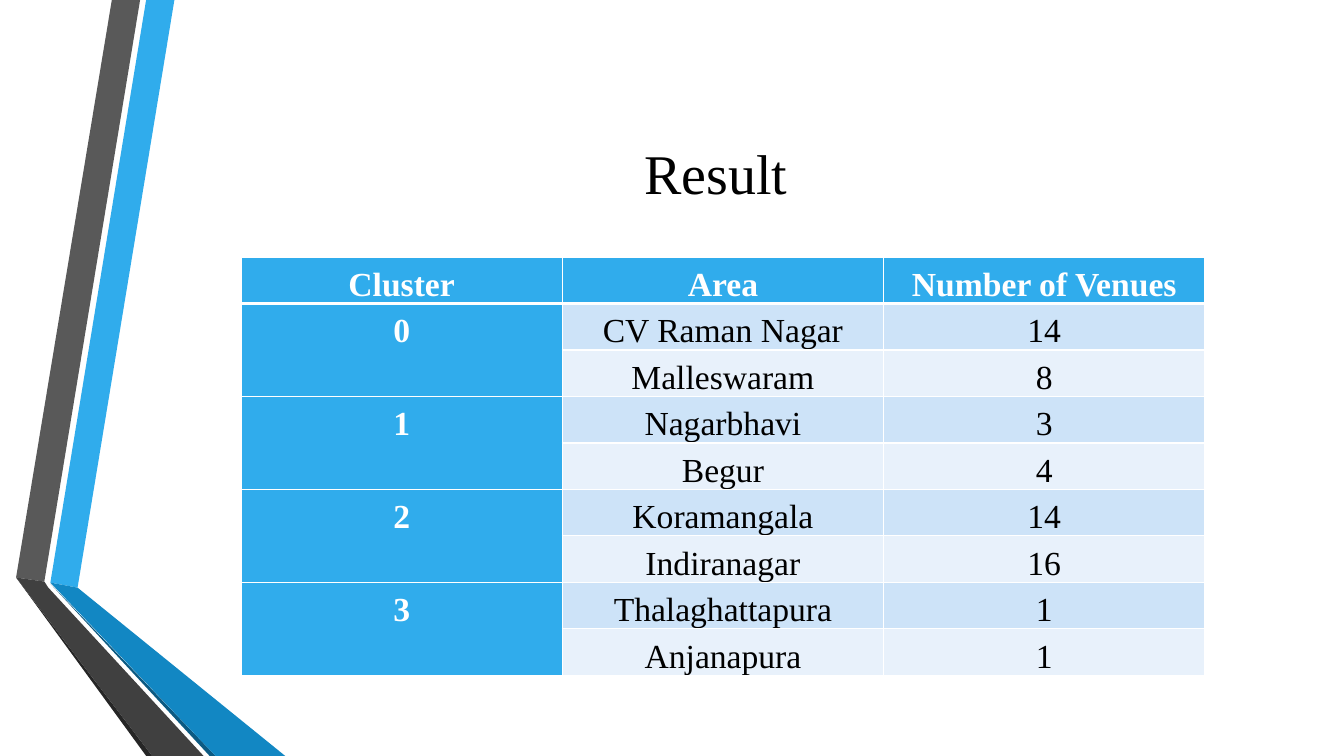
from lxml.etree import SubElement
from pptx import Presentation
from pptx.dml.color import RGBColor
from pptx.enum.text import MSO_ANCHOR as Anchor, PP_ALIGN as Align
from pptx.oxml.ns import qn
from pptx.util import Inches, Pt

FONT = "Times New Roman"
BLACK = RGBColor(0x00, 0x00, 0x00)
WHITE = RGBColor(0xFF, 0xFF, 0xFF)
BLUE = RGBColor(0x30, 0xAC, 0xEC)
MID_BLUE = RGBColor(0x12, 0x87, 0xC3)
DEEP_BLUE = RGBColor(0x0C, 0x5A, 0x82)
GREY = RGBColor(0x59, 0x59, 0x59)
DARK_GREY = RGBColor(0x40, 0x40, 0x40)
CHARCOAL = RGBColor(0x26, 0x26, 0x26)
BANDS = [RGBColor(0xCD, 0xE3, 0xF8), RGBColor(0xE8, 0xF1, 0xFB)]


def add_text(para, text, size, color, bold=False):
    para.alignment = Align.CENTER
    span = para.add_run()
    span.text = text
    span.font.name = FONT
    span.font.size = Pt(size)
    span.font.bold = bold
    span.font.color.rgb = color


def add_border(cell, side, width):
    line = SubElement(cell._tc.get_or_add_tcPr(), qn(f"a:{side}"), w=str(Pt(width)))
    fill = SubElement(line, qn("a:solidFill"))
    SubElement(fill, qn("a:srgbClr"), val=str(WHITE))


deck = Presentation()
deck.slide_width = Inches(13.33)
deck.slide_height = Inches(7.5)
page = deck.slides.add_slide(deck.slide_layouts[5])

ribbons = [
    (BLUE, [(0.5, 5.78), (0.77, 5.83), (1.73, 0), (1.45, 0)]),
    (GREY, [(1.39, 0), (1.11, 0), (0.16, 5.73), (0.44, 5.77)]),
    (CHARCOAL, [(0.16, 5.73), (1.45, 7.5), (1.51, 7.5)]),
    (DEEP_BLUE, [(0.5, 5.79), (2.08, 7.5), (2.14, 7.5)]),
    (MID_BLUE, [(0.5, 5.78), (2.14, 7.5), (2.83, 7.5), (0.77, 5.83)]),
    (DARK_GREY, [(2.02, 7.5), (0.48, 5.83), (0.44, 5.77), (0.16, 5.73), (1.51, 7.5)]),
]
for color, corners in ribbons:
    points = [(Inches(x), Inches(y)) for x, y in corners]
    outline = page.shapes.build_freeform(*points[0])
    outline.add_line_segments(points[1:], close=True)
    ribbon = outline.convert_to_shape()
    ribbon.shadow.inherit = False
    ribbon.fill.solid()
    ribbon.fill.fore_color.rgb = color
    ribbon.line.fill.background()

title = page.shapes.title
title.element.getparent().append(title.element)
title.left, title.top = Inches(1.62), Inches(0.75)
title.width, title.height = Inches(10.96), Inches(1.92)
title.text_frame.vertical_anchor = Anchor.MIDDLE
add_text(title.text_frame.paragraphs[0], "Result", 40, BLACK)

rows = [
    ("Cluster", "Area", "Number of Venues"),
    ("0", "CV Raman Nagar", "14"),
    ("", "Malleswaram", "8"),
    ("1", "Nagarbhavi", "3"),
    ("", "Begur", "4"),
    ("2", "Koramangala", "14"),
    ("", "Indiranagar", "16"),
    ("3", "Thalaghattapura", "1"),
    ("", "Anjanapura", "1"),
]
table = page.shapes.add_table(
    len(rows), len(rows[0]), Inches(2.39), Inches(2.55), Inches(9.56), Inches(4.08)
).table

for r, values in enumerate(rows):
    for c, value in enumerate(values):
        cell = table.cell(r, c)
        heading = r == 0 or c == 0
        cell.margin_left = cell.margin_right = Inches(0.07)
        cell.margin_top = cell.margin_bottom = 0
        for side in ("lnL", "lnR", "lnT", "lnB"):
            thick = (r == 0 and side == "lnB") or (r == 1 and side == "lnT")
            add_border(cell, side, 3 if thick else 1)
        cell.fill.solid()
        cell.fill.fore_color.rgb = BLUE if heading else BANDS[(r - 1) % 2]
        para = cell.text_frame.paragraphs[0]
        para.line_spacing = 1.25
        if value:
            add_text(para, value, 24, WHITE if heading else BLACK, heading)

for r in range(1, len(rows), 2):
    table.cell(r, 0).merge(table.cell(r + 1, 0))

deck.save("out.pptx")
